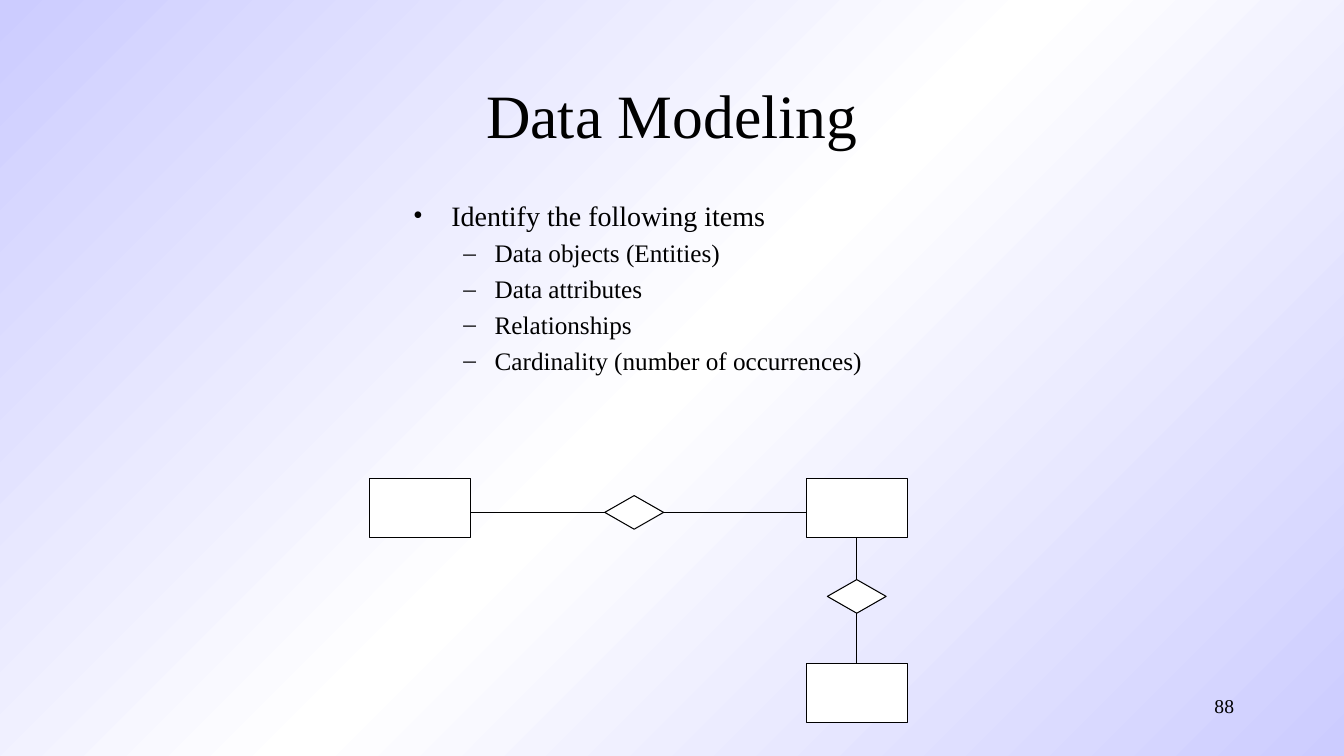
"""Build the Data Modeling slide with its entity-relationship sketch."""
from copy import deepcopy
from dataclasses import dataclass

from lxml.etree import SubElement as Sub
from pptx import Presentation
from pptx.dml.color import RGBColor as RGB
from pptx.enum.shapes import MSO_CONNECTOR as Conn, MSO_SHAPE as Kind
from pptx.enum.text import MSO_ANCHOR as Anchor, PP_ALIGN as Align
from pptx.oxml.ns import qn
from pptx.util import Inches, Pt

TITLE = "Data Modeling"
PAGE = "88"
ITEMS = [
    (0, "Identify the following items"),
    (1, "Data objects (Entities)"),
    (1, "Data attributes"),
    (1, "Relationships"),
    (1, "Cardinality (number of occurrences)"),
]

COLS, ROWS = 160, 90
AREAS = {
    "title": (29, 6, 102, 15),
    "body": (48, 23, 77, 38),
    "page": (114.7, 82, 33.4, 6),
}
SIZES = {Kind.RECTANGLE: (12, 7), Kind.DIAMOND: (7, 4)}
NODES = {
    "left": (Kind.RECTANGLE, 50, 60.5),
    "right": (Kind.RECTANGLE, 102, 60.5),
    "across": (Kind.DIAMOND, 75.5, 61),
    "low": (Kind.RECTANGLE, 102, 82.5),
    "down": (Kind.DIAMOND, 102, 71),
}
TOP, LEFT, BASE, RIGHT = range(4)
SIDES = {TOP: (0, -0.5), LEFT: (-0.5, 0), BASE: (0, 0.5), RIGHT: (0.5, 0)}
LINKS = [
    ("across", LEFT, "left", RIGHT),
    ("across", RIGHT, "right", LEFT),
    ("down", TOP, "right", BASE),
    ("down", BASE, "low", TOP),
]
LEVELS = [("•", 0.38, 0.38), ("–", 0.81, 0.31)]


@dataclass(frozen=True)
class Theme:
    font: str = "Times New Roman"
    ink: RGB = RGB(0, 0, 0)
    paper: RGB = RGB(255, 255, 255)
    tint: RGB = RGB(204, 204, 255)
    head: int = 44
    text: tuple = (20, 18)
    note: int = 14
    line: float = 0.75
    gap: float = 4.1


THEME = Theme()


def grid(*vals):
    return [Inches(val / 12) for val in vals]


def write(par, text, size):
    run = par.add_run()
    run.text = text
    run.font.name = THEME.font
    run.font.size = Pt(size)
    run.font.color.rgb = THEME.ink


def paint(slide):
    fill = slide.background.fill
    fill.gradient()
    fill.gradient_angle = 315
    stops = slide.element.find(".//" + qn("a:gsLst"))
    stops.append(deepcopy(stops[0]))
    shades = (THEME.tint, THEME.paper, THEME.tint)
    for num, (stop, shade) in enumerate(zip(fill.gradient_stops, shades)):
        stop.position = num / 2
        stop.color.rgb = shade


def add_title(slide):
    head = slide.shapes.title
    head.left, head.top, head.width, head.height = grid(*AREAS["title"])
    frame = head.text_frame
    frame.vertical_anchor = Anchor.MIDDLE
    par = frame.paragraphs[0]
    par.alignment = Align.CENTER
    write(par, TITLE, THEME.head)


def add_box(slide, name):
    frame = slide.shapes.add_textbox(*grid(*AREAS[name])).text_frame
    frame.word_wrap = True
    return frame


def add_list(slide):
    frame = add_box(slide, "body")
    for num, (level, text) in enumerate(ITEMS):
        par = frame.add_paragraph() if num else frame.paragraphs[0]
        mark, left, hang = LEVELS[level]
        par.level = level
        props = par._p.get_or_add_pPr()
        props.set("marL", str(Inches(left)))
        props.set("indent", str(-Inches(hang)))
        Sub(props, qn("a:buFont"), typeface=THEME.font)
        Sub(props, qn("a:buChar"), char=mark)
        if num:
            par.space_before = Pt(THEME.gap)
        write(par, text, THEME.text[level])


def add_page(slide):
    par = add_box(slide, "page").paragraphs[0]
    par.alignment = Align.RIGHT
    write(par, PAGE, THEME.note)


def add_node(slide, kind, x, y):
    wide, high = SIZES[kind]
    node = slide.shapes.add_shape(kind, *grid(x - wide / 2, y - high / 2, wide, high))
    node.shadow.inherit = False
    node.fill.solid()
    node.fill.fore_color.rgb = THEME.paper
    node.line.color.rgb = THEME.ink
    node.line.width = Pt(THEME.line)
    return node


def port(name, side):
    kind, x, y = NODES[name]
    wide, high = SIZES[kind]
    across, down = SIDES[side]
    return x + across * wide, y + down * high


def add_link(slide, nodes, start, out, end, into):
    x, y = port(start, out)
    goal = port(end, into)
    stop = (goal[0], y) if out in (LEFT, RIGHT) else (x, goal[1])
    link = slide.shapes.add_connector(Conn.STRAIGHT, *grid(x, y, *stop))
    link.begin_connect(nodes[start], out)
    if stop == goal:
        link.end_connect(nodes[end], into)
    link.line.color.rgb = THEME.ink
    link.line.width = Pt(THEME.line)
    Sub(link._element.spPr, qn("a:effectLst"))


def main():
    deck = Presentation()
    deck.slide_width, deck.slide_height = grid(COLS, ROWS)
    slide = deck.slides.add_slide(deck.slide_layouts[5])
    paint(slide)
    add_title(slide)
    add_list(slide)
    add_page(slide)
    nodes = {name: add_node(slide, *spot) for name, spot in NODES.items()}
    for link in LINKS:
        add_link(slide, nodes, *link)
    deck.save("out.pptx")


if __name__ == "__main__":
    main()
